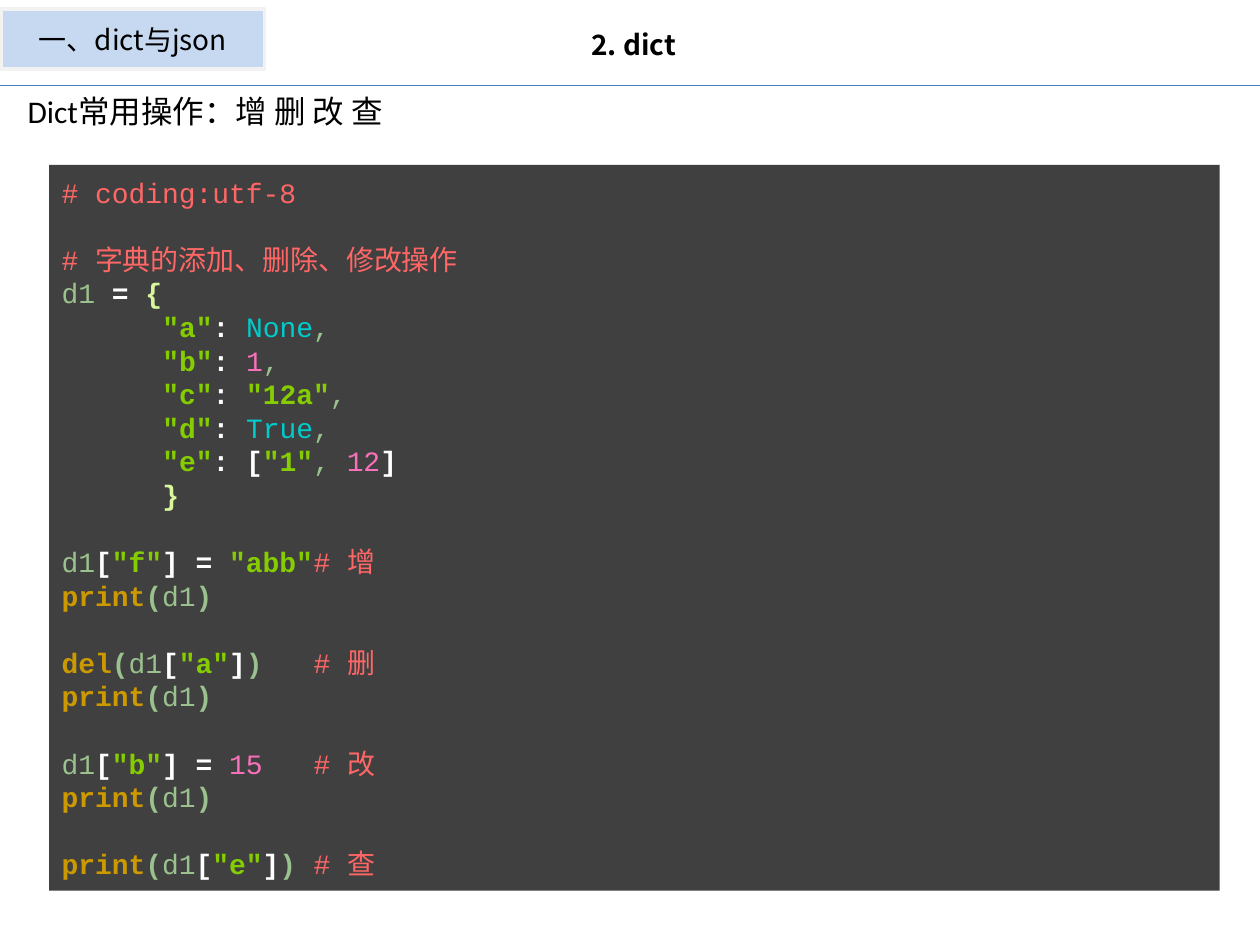
from lxml import etree
from pptx import Presentation, util as u
from pptx.dml.color import RGBColor
from pptx.enum import shapes, text
from pptx.oxml.ns import qn

CJK = "Noto Sans CJK SC"
MONO = "Courier New"


def rgb(code):
    return RGBColor.from_string(code)


class Page:
    """Current slide and its style, on a grid of 100 columns by 75 rows."""

    def __init__(self, deck):
        self.slide = deck.slides.add_slide(deck.slide_layouts[6])
        self.cell = deck.slide_width / 100

    def grid(self, *nums):
        return [u.Emu(round(n * self.cell)) for n in nums]

    def line(self, ends, color, width):
        rule = self.slide.shapes.add_connector(
            shapes.MSO_CONNECTOR.STRAIGHT, *self.grid(*ends))
        rule.line.color.rgb = rgb(color)
        rule.line.width = u.Pt(width)
        etree.SubElement(rule._element.spPr, qn("a:effectLst"))

    def rect(self, area, fill, edge=None):
        box = self.slide.shapes.add_shape(
            shapes.MSO_SHAPE.RECTANGLE, *self.grid(*area))
        box.shadow.inherit = False
        box.fill.solid()
        box.fill.fore_color.rgb = rgb(fill)
        if edge:
            box.line.color.rgb = rgb(edge)
            box.line.width = u.Pt(2)
        else:
            box.line.fill.background()
        box.text_frame.vertical_anchor = text.MSO_ANCHOR.MIDDLE
        return box.text_frame

    def label(self, area, wrap=True):
        frame = self.slide.shapes.add_textbox(*self.grid(*area)).text_frame
        frame.word_wrap = wrap
        return frame

    def run(self, para, words, color="000000", **form):
        part = para.add_run()
        part.text = words
        part.font.color.rgb = rgb(color)
        for key, val in form.items():
            setattr(part.font, key, val)
        east = etree.SubElement(part.font._element, qn("a:ea"))
        east.set("typeface", CJK)

    def title(self, frame, words, align=text.PP_ALIGN.CENTER, **form):
        para = frame.paragraphs[0]
        para.alignment = align
        self.run(para, words, **form)

    def code(self, frame, rows, inks, size, pitch, stop):
        """Each row: indent in characters, blank rows above, inked parts."""
        for i, (dent, gap, parts) in enumerate(rows):
            para = frame.add_paragraph() if i else frame.paragraphs[0]
            form = {"alignment": text.PP_ALIGN.LEFT,
                    "line_spacing": u.Pt(pitch),
                    "space_before": u.Pt(gap * pitch)}
            for key, val in form.items():
                setattr(para, key, val)
            # A monospaced character is 0.6 of the text size wide
            props = para._p.get_or_add_pPr()
            props.set("marL", str(u.Pt(dent * size * 0.6)))
            props.set("indent", "0")
            tabs = etree.SubElement(props, qn("a:tabLst"))
            etree.SubElement(tabs, qn("a:tab"), algn="l",
                             pos=str(u.Pt(stop * size * 0.6)))
            for ink, words in parts:
                color, bold, font = inks[ink]
                self.run(para, words, color, size=u.Pt(size),
                         bold=bold, name=font)


deck = Presentation()
deck.slide_width, deck.slide_height = u.Inches(10), u.Inches(7.5)
page = Page(deck)

# Header
page.line((0, 6.8, 100, 6.8), "4B7EBC", 0.75)
page.title(page.rect((0.1, 0.7, 20.9, 4.8), "C6D9F1", "F2F2F2"),
           "一、dict与json", size=u.Pt(16), name=CJK)
page.title(page.label((45.8, 1.7, 9, 3.7), wrap=False),
           "2. dict", size=u.Pt(16), name=CJK, bold=True)

# Topic
page.title(page.label((1.2, 6.8, 88.2, 4)), "Dict常用操作：增 删 改 查",
           text.PP_ALIGN.LEFT, size=u.Pt(18), name="Calibri")

# Code colours: colour, bold, font
inks = {
    "note": ("FF6666", False, MONO),
    "han": ("FF6666", False, CJK),
    "name": ("9BC28E", False, MONO),
    "paren": ("9BC28E", True, MONO),
    "sign": ("FFFFFF", True, MONO),
    "brace": ("D8F69C", True, MONO),
    "str": ("85CD00", True, MONO),
    "const": ("00CCCC", False, MONO),
    "num": ("F971BB", False, MONO),
    "call": ("CC9900", True, MONO),
}


def note(words, lead=""):
    return [("note", lead + "# "), ("han", words)]


def item(key):
    return [("name", "d1"), ("sign", "["), ("str", f'"{key}"'), ("sign", "]")]


def call(func, inner):
    return [("call", func), ("paren", "("), *inner, ("paren", ")")]


# Code rows
pairs = {
    "a": [("const", "None")],
    "b": [("num", "1")],
    "c": [("str", '"12a"')],
    "d": [("const", "True")],
    "e": [("sign", "["), ("str", '"1"'), ("name", ", "),
          ("num", "12"), ("sign", "]")],
}
rows = [
    (0, 0, [("note", "# coding:utf-8")]),
    (0, 1, note("字典的添加、删除、修改操作")),
    (0, 0, [("name", "d1 "), ("sign", "= "), ("brace", "{")]),
]
for key, val in pairs.items():
    comma = [] if key == "e" else [("name", ",")]
    rows.append((6, 0, [("str", f'"{key}"'), ("sign", ": "), *val, *comma]))
rows.append((6, 0, [("brace", "}")]))

steps = [
    ("增", item("f") + [("sign", " = "), ("str", '"abb"')]),
    ("删", call("del", item("a"))),
    ("改", item("b") + [("sign", " = "), ("num", "15")]),
    ("查", call("print", item("e"))),
]
for word, parts in steps:
    rows.append((0, 1, parts + note(word, "\t")))
    if word != "查":
        rows.append((0, 0, call("print", [("name", "d1")])))

# Code panel
page.code(page.rect((3.9, 13.1, 92.9, 57.6), "404040"), rows, inks,
          size=16, pitch=19.2, stop=22)

deck.save("out.pptx")
